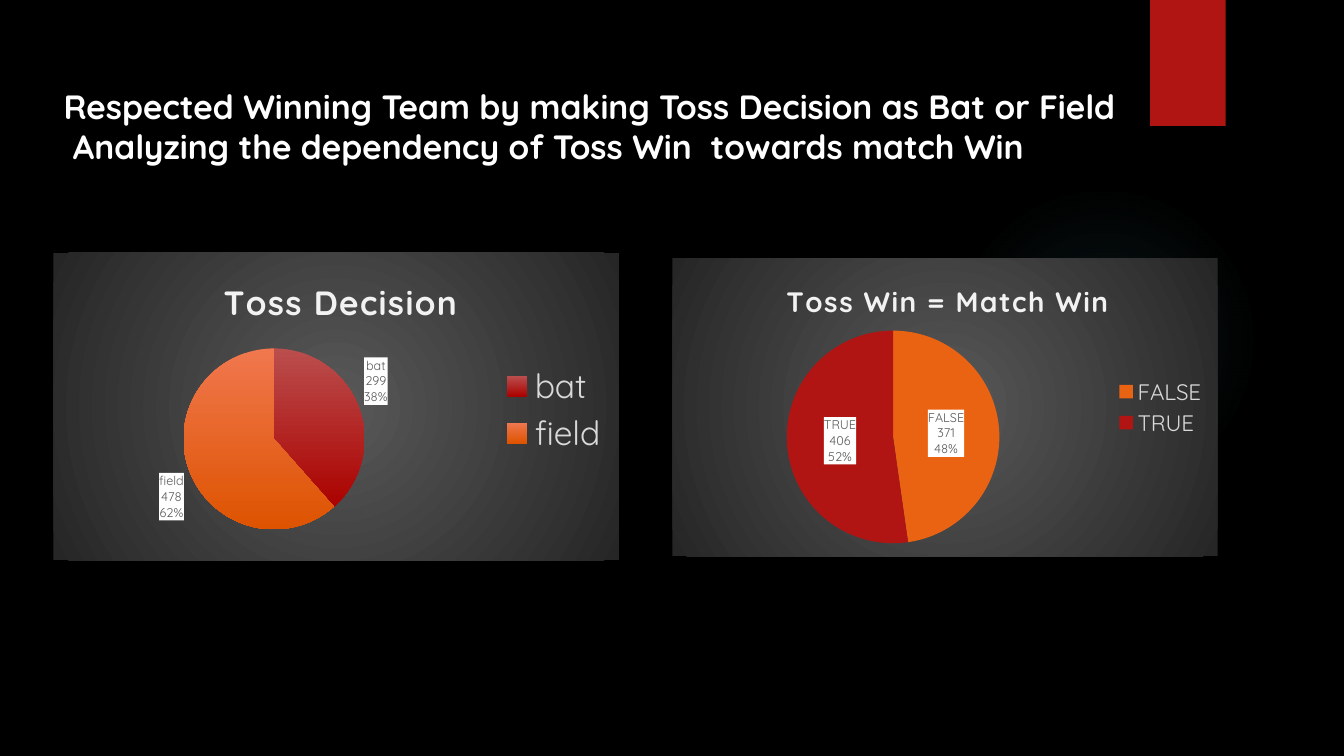
from dataclasses import dataclass

from lxml import etree
from pptx import Presentation
from pptx.chart.chart import Chart
from pptx.chart.data import CategoryChartData
from pptx.dml.color import RGBColor
from pptx.dml.fill import FillFormat
from pptx.enum.chart import XL_CHART_TYPE, XL_LABEL_POSITION, XL_LEGEND_POSITION
from pptx.enum.shapes import MSO_SHAPE
from pptx.enum.text import MSO_ANCHOR, PP_ALIGN
from pptx.oxml import parse_xml
from pptx.oxml.ns import nsdecls, qn
from pptx.shapes.autoshape import Shape
from pptx.slide import Slide
from pptx.text.text import Font
from pptx.util import Pt

PIE = XL_CHART_TYPE.PIE
OUTSIDE = XL_LABEL_POSITION.OUTSIDE_END
CENTER = XL_LABEL_POSITION.CENTER
LEGEND_RIGHT = XL_LEGEND_POSITION.RIGHT
RECTANGLE = MSO_SHAPE.RECTANGLE
OVAL = MSO_SHAPE.OVAL
TOP = MSO_ANCHOR.TOP
LEFT = PP_ALIGN.LEFT

FONT_NAME = "Quicksand"
TITLE_LINES = (
    "Respected Winning Team by making Toss Decision as Bat or Field",
    " Analyzing the dependency of Toss Win  towards match Win",
)


@dataclass(frozen=True)
class Box:
    left: float
    top: float
    width: float
    height: float

    def lengths(self) -> tuple[Pt, Pt, Pt, Pt]:
        return Pt(self.left), Pt(self.top), Pt(self.width), Pt(self.height)


@dataclass(frozen=True)
class GradientStop:
    percent: int
    color: str
    opacity: int = 100


@dataclass(frozen=True)
class Pie:
    title: str
    box: Box
    title_size: int
    legend_size: int
    values: dict[str, int]
    slice_colors: tuple[tuple[str, ...], ...]
    label_position: XL_LABEL_POSITION
    title_area: tuple[float, ...]
    plot_area: tuple[float, ...]
    legend_area: tuple[float, ...]


GLOW_STOPS = (
    GradientStop(0, "50B9C1", 7),
    GradientStop(36, "50B9C1", 6),
    GradientStop(69, "50B9C1", 0),
)
CHART_STOPS = (GradientStop(0, "595959"), GradientStop(100, "262626"))

PIES = (
    Pie(
        "Toss Decision", Box(38.2, 180.7, 403.9, 219.6), 24, 24,
        {"bat": 299, "field": 478},
        (("BA4E4D", "AB0200"), ("F0774E", "DD5300")),
        OUTSIDE, (0.29, 0.06), (0.23, 0.31, 0.32, 0.59), (0.79, 0.35, 0.19, 0.32),
    ),
    Pie(
        "Toss Win = Match Win", Box(480.2, 184.3, 389.5, 213.1), 20, 16,
        {"FALSE": 371, "TRUE": 406},
        (("EA6312",), ("B01513",)),
        CENTER, (0.2, 0.06), (0.21, 0.24, 0.39, 0.72), (0.81, 0.39, 0.17, 0.22),
    ),
)


def rgb(color: str) -> RGBColor:
    return RGBColor.from_string(color)


def set_font(font: Font, size: float, color: str, bold: bool = False) -> None:
    font.name = FONT_NAME
    font.size = Pt(size)
    font.bold = bold
    font.color.rgb = rgb(color)


def radial_gradient(stops: tuple[GradientStop, ...]) -> str:
    stop_xml = "".join(
        f'<a:gs pos="{stop.percent * 1000}"><a:srgbClr val="{stop.color}">'
        f'<a:alpha val="{stop.opacity * 1000}"/></a:srgbClr></a:gs>'
        for stop in stops
    )
    return (
        f'<a:gradFill {nsdecls("a")} rotWithShape="1"><a:gsLst>{stop_xml}</a:gsLst>'
        '<a:path path="circle"><a:fillToRect l="50000" t="50000" r="50000" b="50000"/>'
        "</a:path></a:gradFill>"
    )


def chart_properties(fill_xml: str) -> etree._Element:
    return parse_xml(
        f'<c:spPr {nsdecls("c", "a")}>{fill_xml}<a:ln><a:noFill/></a:ln></c:spPr>'
    )


def add_plain_shape(slide: Slide, preset: MSO_SHAPE, box: Box) -> Shape:
    shape = slide.shapes.add_shape(preset, *box.lengths())
    shape.shadow.inherit = False
    shape.line.fill.background()
    return shape


def place_chart_part(part: etree._Element, area: tuple[float, ...], after: str = "") -> None:
    for layout in part.findall(qn("c:layout")):
        part.remove(layout)
    target = '<c:layoutTarget val="inner"/>' if not after else ""
    names = ("x", "y", "w", "h")[:len(area)]
    modes = "".join(f'<c:{name}Mode val="edge"/>' for name in names[:2])
    sizes = "".join(f'<c:{name} val="{value}"/>' for name, value in zip(names, area))
    layout = parse_xml(
        f'<c:layout {nsdecls("c")}><c:manualLayout>{target}{modes}{sizes}'
        "</c:manualLayout></c:layout>"
    )
    if after:
        part.find(qn(after)).addnext(layout)
    else:
        part.insert(0, layout)


def fill_slice(fill: FillFormat, colors: tuple[str, ...]) -> None:
    if len(colors) == 1:
        fill.solid()
        fill.fore_color.rgb = rgb(colors[0])
        return
    fill.gradient()
    fill.gradient_angle = 270
    for stop, color in zip(fill.gradient_stops, colors):
        stop.color.rgb = rgb(color)


def format_labels(chart: Chart, position: XL_LABEL_POSITION) -> None:
    labels = chart.plots[0].series[0].data_labels
    labels.show_category_name = True
    labels.show_value = True
    labels.show_percentage = True
    labels.position = position
    set_font(labels.font, 9, "595959")
    element = chart.element.find(".//" + qn("c:ser")).find(qn("c:dLbls"))
    white = '<a:solidFill><a:srgbClr val="FFFFFF"/></a:solidFill>'
    element.find(qn("c:txPr")).addprevious(chart_properties(white))
    separator = parse_xml(f'<c:separator {nsdecls("c")}>\n</c:separator>')
    element.find(qn("c:showPercent")).addnext(separator)
    bubble_size = element.find(qn("c:showBubbleSize"))
    if bubble_size is not None:
        bubble_size.addnext(separator)


def add_pie(slide: Slide, pie: Pie) -> None:
    data = CategoryChartData()
    data.categories = list(pie.values)
    data.add_series("Series 1", list(pie.values.values()))
    chart = slide.shapes.add_chart(PIE, *pie.box.lengths(), data).chart
    set_font(chart.font, 10, "FFFFFF")
    chart.element.find(qn("c:txPr")).addprevious(
        chart_properties(radial_gradient(CHART_STOPS))
    )

    chart.has_title = True
    paragraph = chart.chart_title.text_frame.paragraphs[0]
    paragraph.text = pie.title
    set_font(paragraph.font, pie.title_size, "F2F2F2", bold=True)
    for properties in chart.element.findall(".//" + qn("c:title") + "//" + qn("a:defRPr")):
        properties.set("spc", "100")

    chart.has_legend = True
    chart.legend.position = LEGEND_RIGHT
    chart.legend.include_in_layout = False
    set_font(chart.legend.font, pie.legend_size, "D9D9D9")

    plot = chart.plots[0]
    plot.vary_by_categories = True
    for index, colors in enumerate(pie.slice_colors):
        point_format = plot.series[0].points[index].format
        fill_slice(point_format.fill, colors)
        point_format.line.fill.background()
    format_labels(chart, pie.label_position)

    body = chart.element.find(qn("c:chart"))
    place_chart_part(body.find(qn("c:title")), pie.title_area, "c:tx")
    place_chart_part(body.find(qn("c:plotArea")), pie.plot_area)
    place_chart_part(body.find(qn("c:legend")), pie.legend_area, "c:legendPos")


def format_title(slide: Slide) -> None:
    title = slide.shapes.title
    title.left, title.top, title.width, title.height = Box(38.2, 57.6, 776.2, 123.8).lengths()
    frame = title.text_frame
    frame.word_wrap = True
    frame.vertical_anchor = TOP
    frame.text = "\n".join(TITLE_LINES)
    for paragraph in frame.paragraphs:
        paragraph.alignment = LEFT
        set_font(paragraph.font, 24, "FFFFFF", bold=True)


def main() -> None:
    presentation = Presentation()
    presentation.slide_width = Pt(960)
    presentation.slide_height = Pt(540)
    slide = presentation.slides.add_slide(presentation.slide_layouts[5])
    slide.background.fill.solid()
    slide.background.fill.fore_color.rgb = rgb("000000")

    glow = add_plain_shape(slide, OVAL, Box(677.5, 131.8, 221.8, 221.8))
    glow.fill.background()
    no_fill = glow.element.spPr.find(qn("a:noFill"))
    no_fill.getparent().replace(no_fill, parse_xml(radial_gradient(GLOW_STOPS)))
    ribbon = add_plain_shape(slide, RECTANGLE, Box(821.5, 0, 54, 90))
    ribbon.fill.solid()
    ribbon.fill.fore_color.rgb = rgb("B01513")

    format_title(slide)
    for pie in PIES:
        add_pie(slide, pie)
    presentation.save("out.pptx")


if __name__ == "__main__":
    main()
